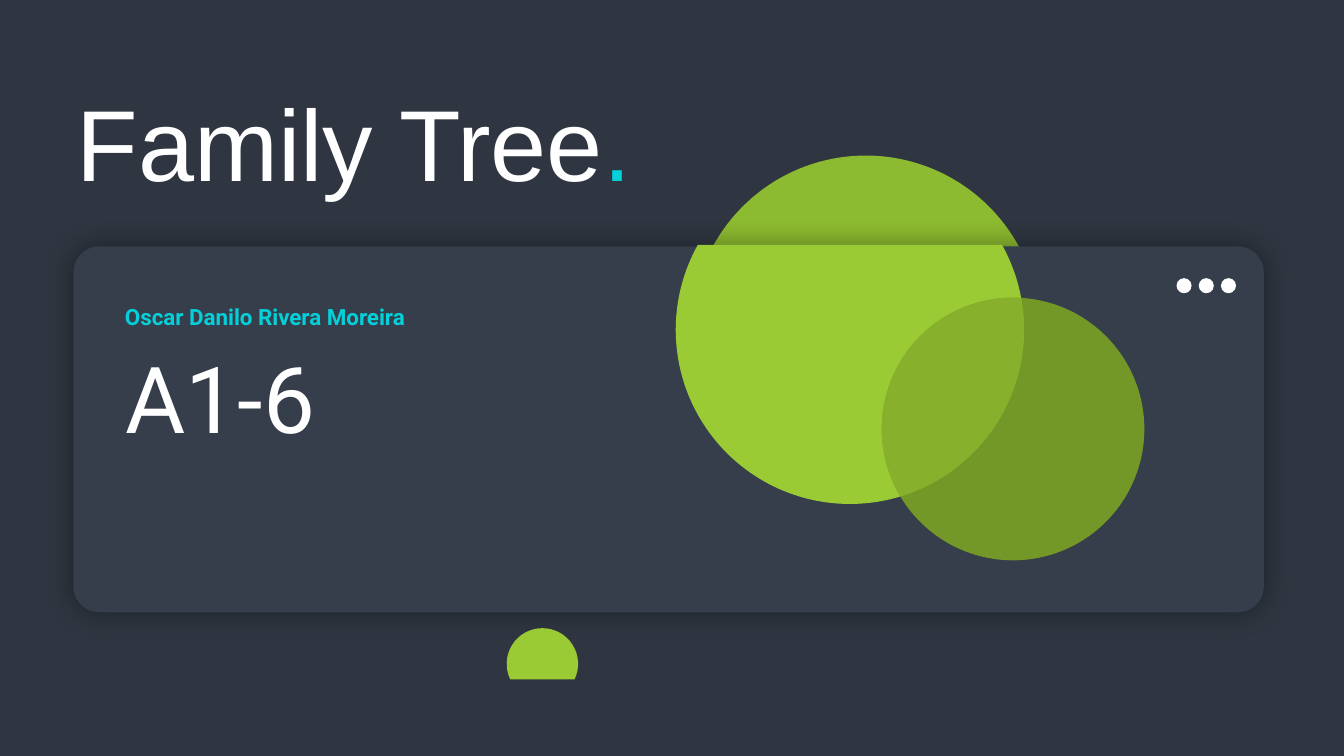
from dataclasses import dataclass
from math import acos, asin, atan2, cos, hypot, pi, sin, tan

from lxml.etree import SubElement
from pptx import Presentation
from pptx.dml.color import RGBColor
from pptx.enum.shapes import MSO_SHAPE
from pptx.enum.text import MSO_ANCHOR, MSO_AUTO_SIZE, PP_ALIGN
from pptx.oxml.ns import qn
from pptx.util import Cm, Pt

COLORS = {
    "bg": "2F3641",
    "card": "363E4B",
    "lime": "9ACB34",
    "moss": "8CBA30",
    "olive": "749827",
    "cyan": "04D0D9",
    "white": "FFFFFF",
    "black": "000000",
}
Points = list[tuple[float, float]]


@dataclass(frozen=True)
class Circle:
    x: float
    y: float
    r: float
    color: str

    def arc(self, start: float, end: float, parts: int) -> Points:
        step = (end - start) / parts
        k = 4 / 3 * tan(step / 4)
        points = [(self.x + self.r * cos(start), self.y + self.r * sin(start))]
        for i in range(parts):
            a, b = start + i * step, start + (i + 1) * step
            for u, v in ((cos(a) - k * sin(a), sin(a) + k * cos(a)),
                         (cos(b) + k * sin(b), sin(b) - k * cos(b)),
                         (cos(b), sin(b))):
                points.append((self.x + self.r * u, self.y + self.r * v))
        return points


@dataclass(frozen=True)
class Label:
    text: str
    x: float
    y: float
    w: float
    h: float
    size: float
    color: str
    bold: bool = False


BACK = Circle(21.82, 8.31, 4.39, "moss")
BIG = Circle(21.42, 8.31, 4.39, "lime")
LOW = Circle(25.53, 10.81, 3.31, "olive")
SMALL = Circle(13.67, 16.73, 0.9, "lime")
DOTS = [Circle(29.84 + 0.56 * i, 7.2, 0.19, "white") for i in range(3)]
BIG_TOP = 6.17
SMALL_BOTTOM = 17.12
LABELS = [
    Label("Oscar Danilo Rivera Moreira", 3.15, 7.65, 7.11, 0.68, 16, "cyan", True),
    Label("A1-6", 3.17, 8.59, 4.9, 2.82, 66, "white"),
]


def paint(sp, color: str, alpha: int = 100) -> None:
    sp.shadow.inherit = False
    sp.fill.solid()
    sp.fill.fore_color.rgb = RGBColor.from_string(COLORS[color])
    sp.line.fill.background()
    if alpha < 100:
        clr = sp._element.spPr.find(f".//{qn('a:srgbClr')}")
        SubElement(clr, qn("a:alpha"), val=str(alpha * 1000))


def add_circle(shapes, c: Circle) -> None:
    sp = shapes.add_shape(MSO_SHAPE.OVAL, Cm(c.x - c.r), Cm(c.y - c.r), Cm(2 * c.r), Cm(2 * c.r))
    paint(sp, c.color)


def add_curve(shapes, points: Points, color: str, alpha: int = 100) -> None:
    pts = [(Cm(x), Cm(y)) for x, y in points]
    fb = shapes.build_freeform(*pts[0])
    fb.add_line_segments(pts[1:], close=True)
    sp = fb.convert_to_shape()
    lines = list(sp._element.iter(qn("a:lnTo")))
    for i in range(0, len(lines), 3):
        curve = SubElement(lines[i].getparent(), qn("a:cubicBezTo"))
        lines[i].addprevious(curve)
        for line in lines[i:i + 3]:
            curve.append(line[0])
            line.getparent().remove(line)
    paint(sp, color, alpha)


def add_backdrop(shapes, width: int, height: int) -> None:
    sp = shapes.add_shape(MSO_SHAPE.RECTANGLE, 0, 0, width, height)
    paint(sp, "bg")
    shapes.title._element.addprevious(sp._element)


def add_card(shapes) -> None:
    sp = shapes.add_shape(MSO_SHAPE.ROUNDED_RECTANGLE, Cm(1.85), Cm(6.21), Cm(30), Cm(9.22))
    sp.adjustments[0] = 0.071
    paint(sp, "card")
    effects = sp._element.spPr.find(qn("a:effectLst"))
    shadow = SubElement(effects, qn("a:outerShdw"), blurRad=str(Pt(20)), dist="0", dir="0",
                        algn="ctr", rotWithShape="0")
    clr = SubElement(shadow, qn("a:srgbClr"), val=COLORS["black"])
    SubElement(clr, qn("a:alpha"), val="40000")


def lens(a: Circle, b: Circle) -> Points:
    d = hypot(b.x - a.x, b.y - a.y)
    axis = atan2(b.y - a.y, b.x - a.x)
    half_a = acos((a.r ** 2 + d ** 2 - b.r ** 2) / (2 * a.r * d))
    half_b = acos((b.r ** 2 + d ** 2 - a.r ** 2) / (2 * b.r * d))
    outer = a.arc(axis - half_a, axis + half_a, 2)
    return outer + b.arc(axis + pi - half_b, axis + pi + half_b, 2)[1:]


def setup_frame(tf) -> None:
    tf.margin_left = tf.margin_right = tf.margin_top = tf.margin_bottom = 0
    tf.word_wrap = False
    tf.auto_size = MSO_AUTO_SIZE.NONE
    tf.vertical_anchor = MSO_ANCHOR.TOP
    tf.paragraphs[0].alignment = PP_ALIGN.LEFT


def add_run(p, text: str, *, size: float, color: str, font: str, bold: bool = False) -> None:
    r = p.add_run()
    r.text = text
    r.font.size = Pt(size)
    r.font.name = font
    r.font.bold = bold
    r.font.color.rgb = RGBColor.from_string(COLORS[color])


def add_label(shapes, label: Label) -> None:
    tf = shapes.add_textbox(Cm(label.x), Cm(label.y), Cm(label.w), Cm(label.h)).text_frame
    setup_frame(tf)
    add_run(tf.paragraphs[0], label.text, size=label.size, color=label.color,
            font="Roboto", bold=label.bold)


def set_title(sp) -> None:
    sp.left, sp.top, sp.width, sp.height = Cm(1.93), Cm(2.03), Cm(14.91), Cm(3.07)
    setup_frame(sp.text_frame)
    p = sp.text_frame.paragraphs[0]
    for text, color in (("Family Tree", "white"), (".", "cyan")):
        add_run(p, text, size=72, color=color, font="Arial")


def main() -> None:
    prs = Presentation()
    prs.slide_width, prs.slide_height = Cm(33.87), Cm(19.05)
    s = prs.slides.add_slide(prs.slide_layouts[5])
    add_backdrop(s.shapes, prs.slide_width, prs.slide_height)
    set_title(s.shapes.title)
    add_circle(s.shapes, BACK)
    add_card(s.shapes)
    cut = asin((BIG.y - BIG_TOP) / BIG.r)
    add_curve(s.shapes, BIG.arc(-cut, pi + cut, 4), BIG.color)
    cut = asin((SMALL_BOTTOM - SMALL.y) / SMALL.r)
    add_curve(s.shapes, SMALL.arc(pi - cut, 2 * pi + cut, 4), SMALL.color)
    dots = s.shapes.add_group_shape().shapes
    for dot in DOTS:
        add_circle(dots, dot)
    for label in LABELS:
        add_label(s.shapes, label)
    add_circle(s.shapes, LOW)
    add_curve(s.shapes, lens(BIG, LOW), "lime", 50)
    prs.save("out.pptx")


if __name__ == "__main__":
    main()
